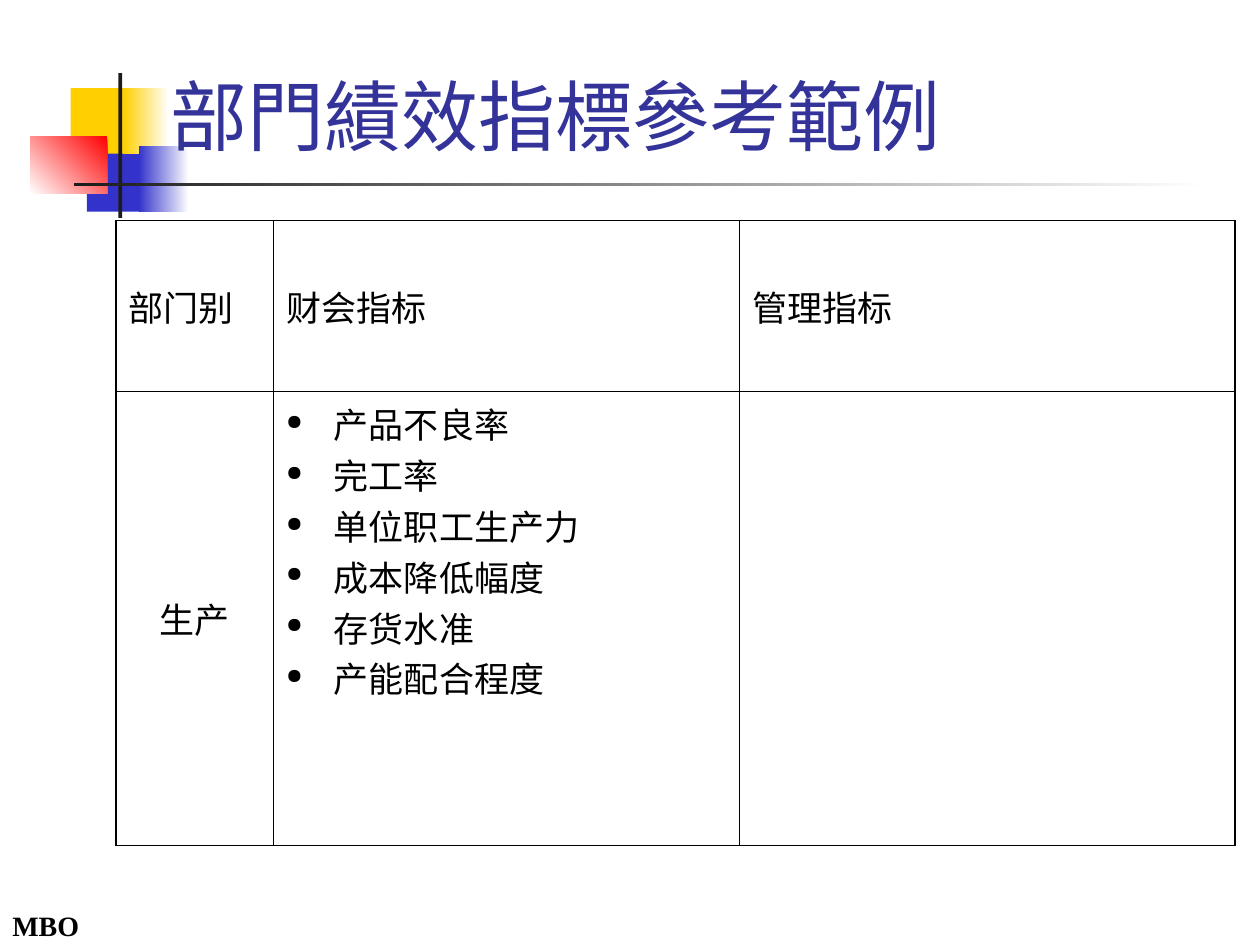
from lxml import etree
from pptx import Presentation
from pptx.dml.color import RGBColor
from pptx.enum.shapes import MSO_SHAPE
from pptx.enum.text import MSO_ANCHOR, MSO_AUTO_SIZE, PP_ALIGN
from pptx.oxml.ns import qn
from pptx.util import Inches, Pt

RECT = MSO_SHAPE.RECTANGLE
MIDDLE, BOTTOM = MSO_ANCHOR.MIDDLE, MSO_ANCHOR.BOTTOM
LEFT, CENTER = PP_ALIGN.LEFT, PP_ALIGN.CENTER

THEME = {
    "blue": "3333CC", "gold": "FFCF01", "red": "FF0000", "white": "FFFFFF",
    "dark": "1C1C1C", "black": "000000", "title": "333399",
    "head": "Karla", "body": "Times New Roman",
    "title_pt": 44, "body_pt": 20, "foot_pt": 16,
    "outer_pt": 0.96, "inner_pt": 0.45,
}

TITLE = "部門績效指標參考範例"
FOOTER = "MBO"
HEADS = ["部门别", "财会指标", "管理指标"]
DEPT = "生产"
ITEMS = ["产品不良率", "完工率", "单位职工生产力",
         "成本降低幅度", "存货水准", "产能配合程度"]
ROWS = [[[h] for h in HEADS], [[DEPT], ITEMS, []]]

# Box, colours (two make a gradient), gradient angle (counter-clockwise)
DECOR = [
    ((0.69, 1.16, 0.46, 0.52), ["blue"], 0),
    ((0.56, 0.7, 0.48, 0.52), ["gold"], 0),
    ((0.98, 0.7, 0.36, 0.52), ["white", "gold"], 180),
    ((1.1, 1.16, 0.4, 0.52), ["white", "blue"], 180),
    ((0.24, 1.08, 0.61, 0.46), ["red", "white"], 225),
    ((0.94, 0.58, 0.03, 1.15), ["dark"], 0),
    ((0.59, 1.45, 9, 0.03), ["white", "dark"], 180),
]
TITLE_BOX = (1.25, 0.33, 8.52, 1)
FOOT_BOX = (0, 7.16, 1.38, 0.37)
GRID_AT = (0.92, 1.75)
COLS, HEIGHTS = [1.25, 3.7, 3.93], [1.36, 3.6]
HANG = 0.38


def color(name):
    return RGBColor.from_string(THEME[name])


def box(dims):
    return [Inches(d) for d in dims]


def write(para, text, size, font, tint, bold=False):
    run = para.add_run()
    run.text = text
    run.font.size = Pt(THEME[size])
    run.font.name = THEME[font]
    run.font.color.rgb = color(tint)
    run.font.bold = bold


def decorate(shapes):
    for dims, tints, angle in DECOR:
        shape = shapes.add_shape(RECT, *box(dims))
        shape.shadow.inherit = False
        shape.line.fill.background()
        if len(tints) == 1:
            shape.fill.solid()
            shape.fill.fore_color.rgb = color(tints[0])
            continue
        shape.fill.gradient()
        shape.fill.gradient_angle = angle
        for stop, tint in zip(shape.fill.gradient_stops, tints):
            stop.color.rgb = color(tint)


def hang(para, bullet):
    props = para._p.get_or_add_pPr()
    props.set("marL", str(Inches(HANG)))
    props.set("indent", str(-Inches(HANG)))
    if bullet:
        tint = etree.SubElement(props, qn("a:buClr"))
        etree.SubElement(tint, qn("a:srgbClr"), val=THEME["black"])
        etree.SubElement(props, qn("a:buSzPct"), val="60000")
        etree.SubElement(props, qn("a:buChar"), char="●")


def border(cell, row, col):
    """Draw heavier lines on the table's outer edges."""
    outer = {"lnL": col == 0, "lnR": col == len(COLS) - 1,
             "lnT": row == 0, "lnB": row == len(HEIGHTS) - 1}
    props = cell._tc.get_or_add_tcPr()
    for spot, (side, edge) in enumerate(outer.items()):
        width = Pt(THEME["outer_pt" if edge else "inner_pt"])
        line = etree.Element(qn("a:" + side), w=str(width))
        fill = etree.SubElement(line, qn("a:solidFill"))
        etree.SubElement(fill, qn("a:srgbClr"), val=THEME["black"])
        props.insert(spot, line)


def fill_cell(cell, lines, row, col):
    cell.fill.background()
    border(cell, row, col)
    bullet = len(lines) > 1
    if lines and not bullet:
        cell.vertical_anchor = MIDDLE
    frame = cell.text_frame
    for n, text in enumerate(lines):
        para = frame.add_paragraph() if n else frame.paragraphs[0]
        para.alignment = CENTER if row and not col else LEFT
        hang(para, bullet)
        write(para, text, "body_pt", "body", "black")


def add_grid(shapes):
    dims = (*GRID_AT, sum(COLS), sum(HEIGHTS))
    table = shapes.add_table(len(HEIGHTS), len(COLS), *box(dims)).table
    table.first_row = table.horz_banding = False
    for col, width in zip(table.columns, COLS):
        col.width = Inches(width)
    for row, height in zip(table.rows, HEIGHTS):
        row.height = Inches(height)
    for r, cells in enumerate(ROWS):
        for c, lines in enumerate(cells):
            fill_cell(table.cell(r, c), lines, r, c)


def add_title(shapes):
    title = shapes.title
    title.left, title.top, title.width, title.height = box(TITLE_BOX)
    frame = title.text_frame
    frame.auto_size = MSO_AUTO_SIZE.NONE
    frame.vertical_anchor = BOTTOM
    para = frame.paragraphs[0]
    para.alignment = LEFT
    write(para, TITLE, "title_pt", "head", "title")
    title._element.getparent().append(title._element)  # above the decor


def add_footer(shapes):
    frame = shapes.add_textbox(*box(FOOT_BOX)).text_frame
    frame.word_wrap = True
    para = frame.paragraphs[0]
    para.space_before = Pt(10)
    write(para, FOOTER, "foot_pt", "body", "black", bold=True)


def main():
    deck = Presentation()
    deck.slide_width, deck.slide_height = Inches(10), Inches(7.5)
    shapes = deck.slides.add_slide(deck.slide_layouts[5]).shapes
    decorate(shapes)
    add_footer(shapes)
    add_title(shapes)
    add_grid(shapes)
    deck.save("out.pptx")


if __name__ == "__main__":
    main()
